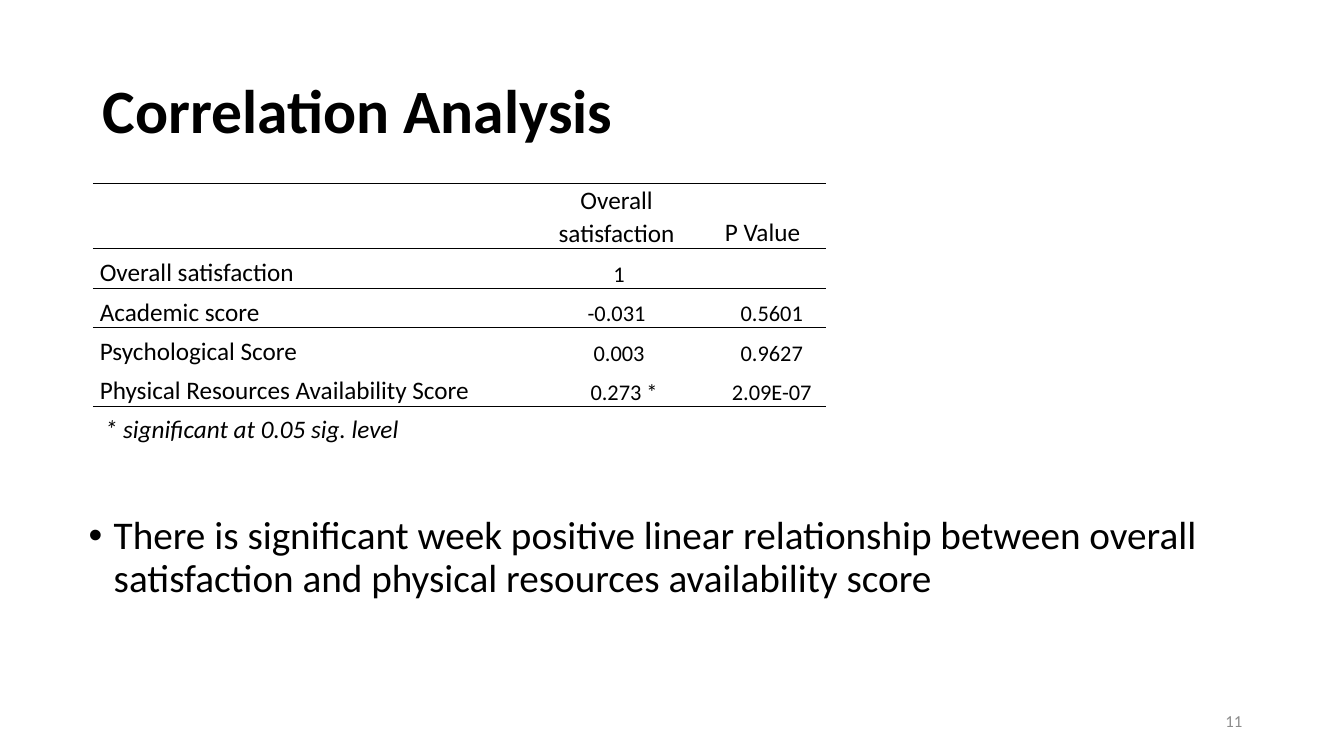
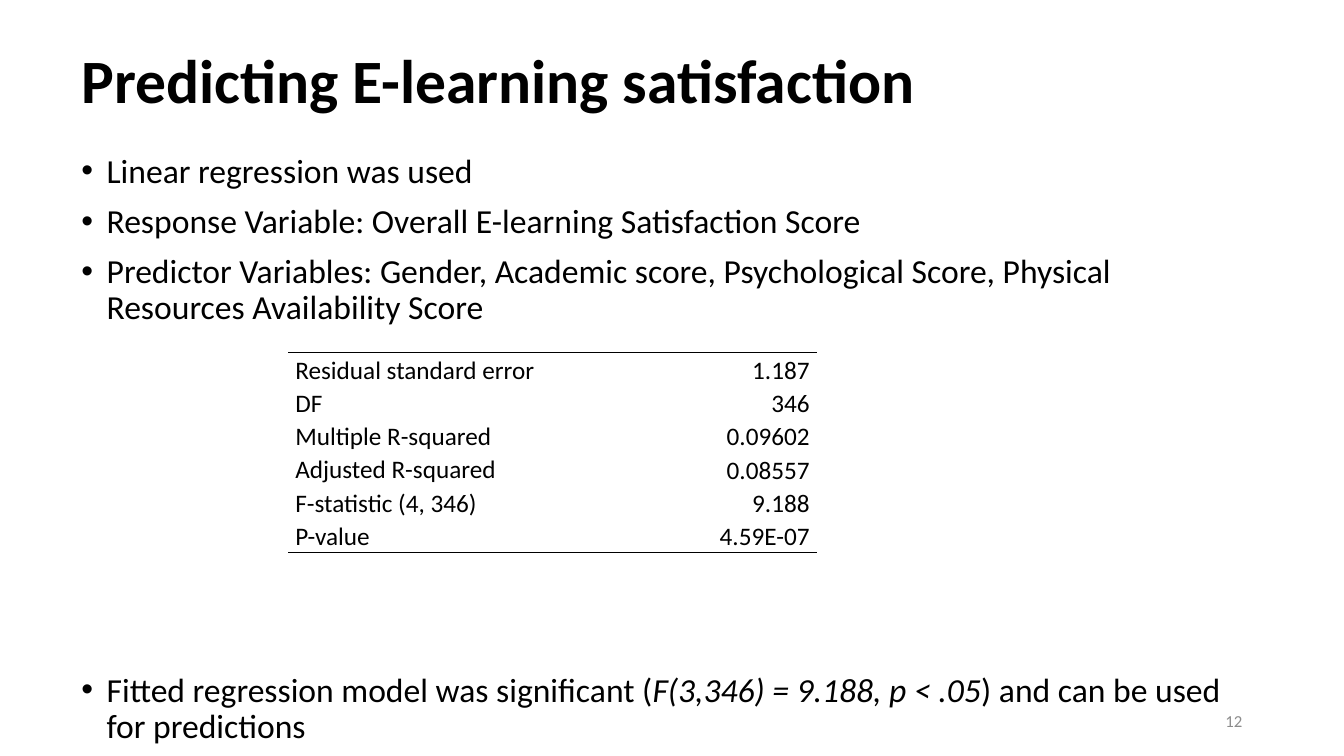
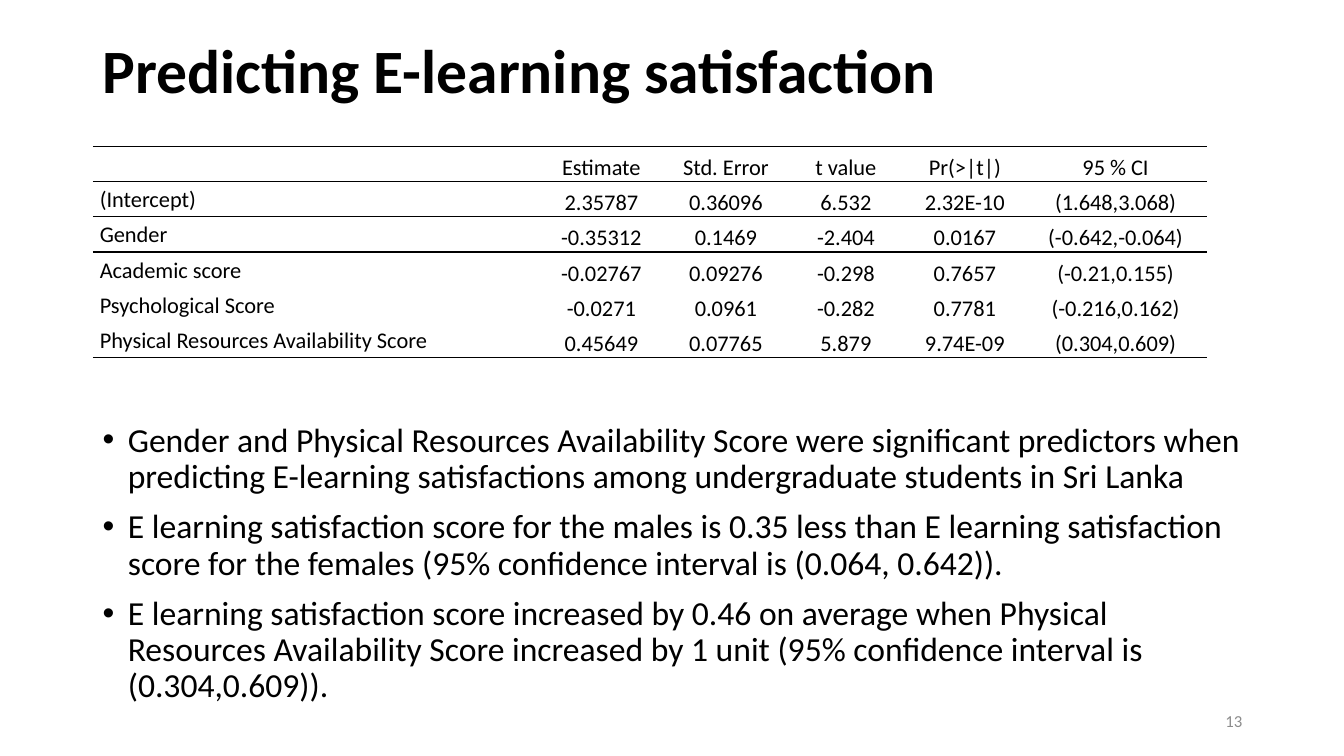
from pptx import Presentation
from pptx.dml.color import RGBColor
from pptx.enum.text import MSO_ANCHOR, PP_ALIGN
from pptx.oxml.ns import qn
from pptx.util import Inches, Pt
from lxml import etree

LEFT, CENTER, RIGHT = PP_ALIGN.LEFT, PP_ALIGN.CENTER, PP_ALIGN.RIGHT
MIDDLE, BOTTOM, TOP = MSO_ANCHOR.MIDDLE, MSO_ANCHOR.BOTTOM, MSO_ANCHOR.TOP

# Shared style
FONT = "Calibri"
BLACK, GREY = "000000", "8C8C8C"
BODY_W = 11.5
CELL_PAD = 0.07
NO_STYLE = "{2D5ABB26-0587-4C30-8999-92F81FD0307C}"

# Content: "rules" are the row boundaries that carry a line,
# "pads" are left paddings of single cells
SLIDES = [
    dict(
        number=11,
        title=("Correlation Analysis", 0.92, 0.4, 1.45),
        table=dict(
            at=(0.92, 1.82), cols=[4.19, 2.01, 1.07],
            heights=[0.59, 0.4, 0.39, 0.39, 0.39, 0.39],
            rows=[
                ("", "Overall satisfaction", "P Value"),
                ("Overall satisfaction", "1", ""),
                ("Academic score", "-0.031", "0.5601"),
                ("Psychological Score", "0.003", "0.9627"),
                ("Physical Resources Availability Score", "0.273 *", "2.09E-07"),
                ("* significant at 0.05 sig. level", "", ""),
            ],
            rules=(0, 1, 2, 5), value_align=CENTER, label_anchor=BOTTOM,
            label_size=18, value_size=16, note_row=5,
            pads={(1, 1): 0.12, (3, 1): 0.12, (4, 1): 0.22, (5, 0): 0.12},
            aligns={(0, 2): LEFT},
        ),
        bullets=[
            (0.78, 5.07, 1.36, 28, [
                ["There is significant week positive linear relationship between "
                 "overall satisfaction and physical resources availability score"],
            ]),
        ],
    ),
    dict(
        number=12,
        title=("Predicting E-learning satisfaction", 0.71, 0.37, 0.91),
        table=dict(
            at=(2.86, 3.5), cols=[3.94, 1.3], heights=[0.33] * 6,
            rows=[
                ("Residual standard error", "1.187"),
                ("DF", "346"),
                ("Multiple R-squared", "0.09602"),
                ("Adjusted R-squared", "0.08557"),
                ("F-statistic (4, 346)", "9.188"),
                ("P-value", "4.59E-07"),
            ],
            rules=(0, 6), value_align=RIGHT, label_anchor=MIDDLE,
            label_size=18, value_size=18,
        ),
        bullets=[
            (0.71, 1.48, 1.9, 24, [
                ["Linear regression was used"],
                ["Response Variable: Overall E-learning Satisfaction Score"],
                ["Predictor Variables: Gender, Academic score, Psychological Score, "
                 "Physical Resources Availability Score"],
            ]),
            (0.71, 6.63, 0.83, 24, [
                ["Fitted regression model was significant (",
                 ("F(3,346) = 9.188, p < .05", True),
                 ") and can be used for predictions"],
            ]),
        ],
    ),
    dict(
        number=13,
        title=("Predicting E-learning satisfaction", 0.92, 0, 1.45),
        table=dict(
            at=(0.92, 1.45), cols=[4.41, 1.27, 1.2, 1.18, 1.18, 1.81],
            heights=[0.35] * 6,
            rows=[
                ("", "Estimate", "Std. Error", "t value", "Pr(>|t|)", "95 % CI"),
                ("(Intercept)", "2.35787", "0.36096", "6.532", "2.32E-10", "(1.648,3.068)"),
                ("Gender", "-0.35312", "0.1469", "-2.404", "0.0167", "(-0.642,-0.064)"),
                ("Academic score", "-0.02767", "0.09276", "-0.298", "0.7657", "(-0.21,0.155)"),
                ("Psychological Score", "-0.0271", "0.0961", "-0.282", "0.7781", "(-0.216,0.162)"),
                ("Physical Resources Availability Score", "0.45649", "0.07765", "5.879",
                 "9.74E-09", "(0.304,0.609)"),
            ],
            rules=(0, 1, 2, 6), value_align=CENTER, label_anchor=MIDDLE,
            label_size=16, value_size=16,
        ),
        bullets=[
            (0.92, 4.15, 2.99, 24, [
                ["Gender and Physical Resources Availability Score were significant "
                 "predictors when predicting E-learning satisfactions among "
                 "undergraduate students in Sri Lanka"],
                ["E learning satisfaction score for the males is 0.35 less than E "
                 "learning satisfaction score for the females (95% confidence "
                 "interval is (0.064, 0.642))."],
                ["E learning satisfaction score increased by 0.46 on average when "
                 "Physical Resources Availability Score increased by 1 unit (95% "
                 "confidence interval is (0.304,0.609))."],
            ]),
        ],
    ),
]


def rgb(value):
    return RGBColor.from_string(value)


def write(p, text, size=18, color=BLACK, bold=False, italic=False, align=LEFT, spacing=1.0):
    """Add one formatted run to a paragraph."""
    p.alignment, p.line_spacing = align, spacing
    r = p.add_run()
    r.text = text
    f = r.font
    f.name, f.size, f.bold, f.italic = FONT, Pt(size), bold, italic
    f.color.rgb = rgb(color)


def add_box(slide, x, y, w, h, anchor=TOP):
    tf = slide.shapes.add_textbox(Inches(x), Inches(y), Inches(w), Inches(h)).text_frame
    tf.word_wrap = True
    tf.vertical_anchor = anchor
    return tf


def add_title(slide, text, x, y, h):
    sp = slide.shapes.title
    sp.left, sp.top, sp.width, sp.height = Inches(x), Inches(y), Inches(BODY_W), Inches(h)
    sp.text_frame.vertical_anchor = MIDDLE
    write(sp.text_frame.paragraphs[0], text, size=44, bold=True, spacing=0.9)


def add_bullets(slide, x, y, h, size, items):
    tf = add_box(slide, x, y, BODY_W, h)
    for i, parts in enumerate(items):
        p = tf.paragraphs[0] if i == 0 else tf.add_paragraph()
        for part in parts:
            text, italic = (part, False) if isinstance(part, str) else part
            write(p, text, size=size, italic=italic, spacing=0.9)
        p.space_before = Pt(10)
        pPr = p._p.get_or_add_pPr()
        pPr.set("marL", str(Inches(0.25)))
        pPr.set("indent", str(-Inches(0.25)))
        etree.SubElement(pPr, qn("a:buFont")).set("typeface", "Arial")
        etree.SubElement(pPr, qn("a:buChar")).set("char", "•")


def add_border(cell, tag):
    ln = etree.SubElement(cell._tc.get_or_add_tcPr(), qn(tag), w=str(Pt(1)))
    fill = etree.SubElement(ln, qn("a:solidFill"))
    etree.SubElement(fill, qn("a:srgbClr"), val=BLACK)


def add_table(slide, at, cols, heights, rows, rules, value_align, label_anchor,
              label_size, value_size, note_row=None, pads={}, aligns={}):
    x, y = at
    table = slide.shapes.add_table(
        len(rows), len(cols), Inches(x), Inches(y),
        Inches(sum(cols)), Inches(sum(heights))).table
    table.first_row = table.horz_banding = False
    table._tbl.tblPr.find(qn("a:tableStyleId")).text = NO_STYLE
    for column, width in zip(table.columns, cols):
        column.width = Inches(width)
    for row, height in zip(table.rows, heights):
        row.height = Inches(height)

    for i, values in enumerate(rows):
        for j, text in enumerate(values):
            cell = table.cell(i, j)
            cell.margin_left = Inches(pads.get((i, j), CELL_PAD))
            cell.margin_right = Inches(CELL_PAD)
            cell.margin_top = cell.margin_bottom = 0
            cell.vertical_anchor = BOTTOM if j else label_anchor
            if i in rules:
                add_border(cell, "a:lnT")
            if i + 1 in rules:
                add_border(cell, "a:lnB")
            cell.fill.background()
            if text:
                write(cell.text_frame.paragraphs[0], text,
                      size=value_size if i and j else label_size,
                      italic=i == note_row, spacing=1.07,
                      align=aligns.get((i, j), value_align if j else LEFT))
    if note_row is not None:
        table.cell(note_row, 0).merge(table.cell(note_row, len(cols) - 1))


def add_number(slide, number):
    tf = add_box(slide, 9.42, 6.95, 3, 0.4, anchor=MIDDLE)
    write(tf.paragraphs[0], str(number), size=12, color=GREY, align=RIGHT)


def main():
    prs = Presentation()
    prs.slide_width, prs.slide_height = Inches(13.33), Inches(7.5)
    for content in SLIDES:
        slide = prs.slides.add_slide(prs.slide_layouts[5])
        add_title(slide, *content["title"])
        for block in content["bullets"]:
            add_bullets(slide, *block)
        add_table(slide, **content["table"])
        add_number(slide, content["number"])
    prs.save("out.pptx")


if __name__ == "__main__":
    main()
